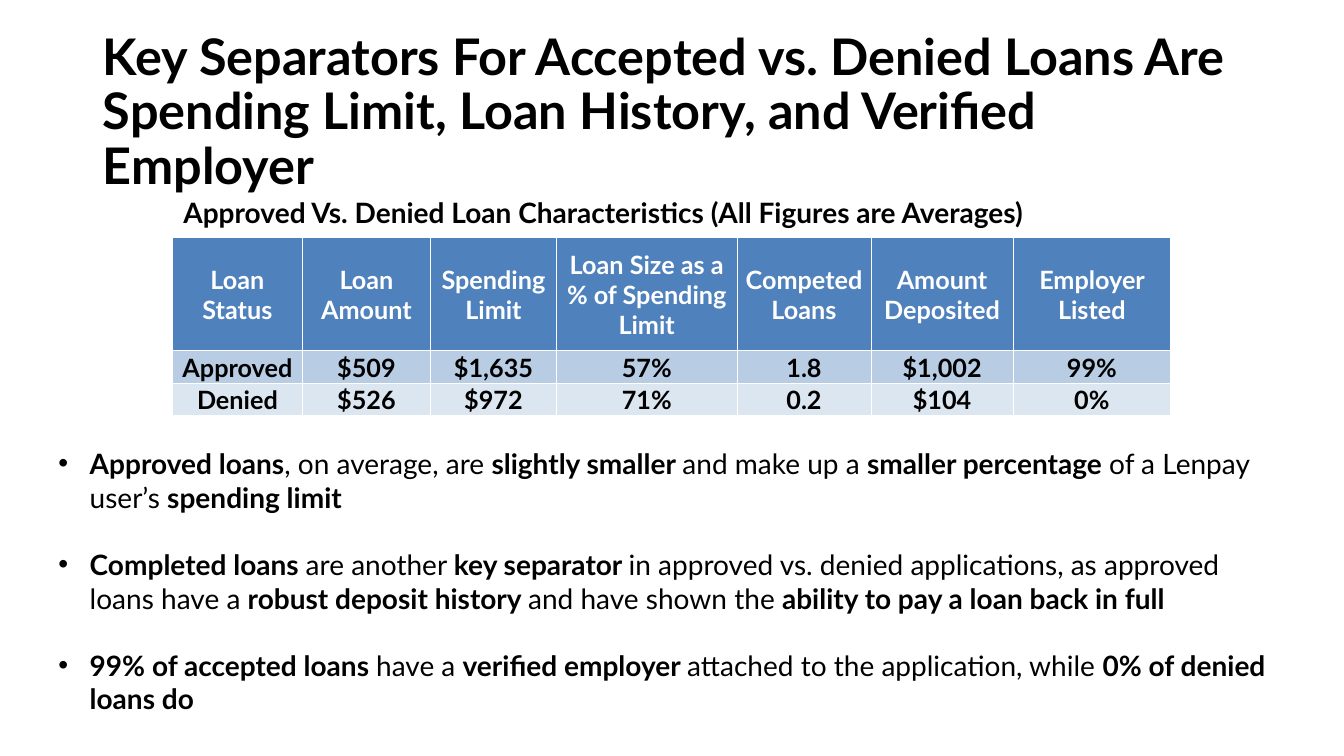
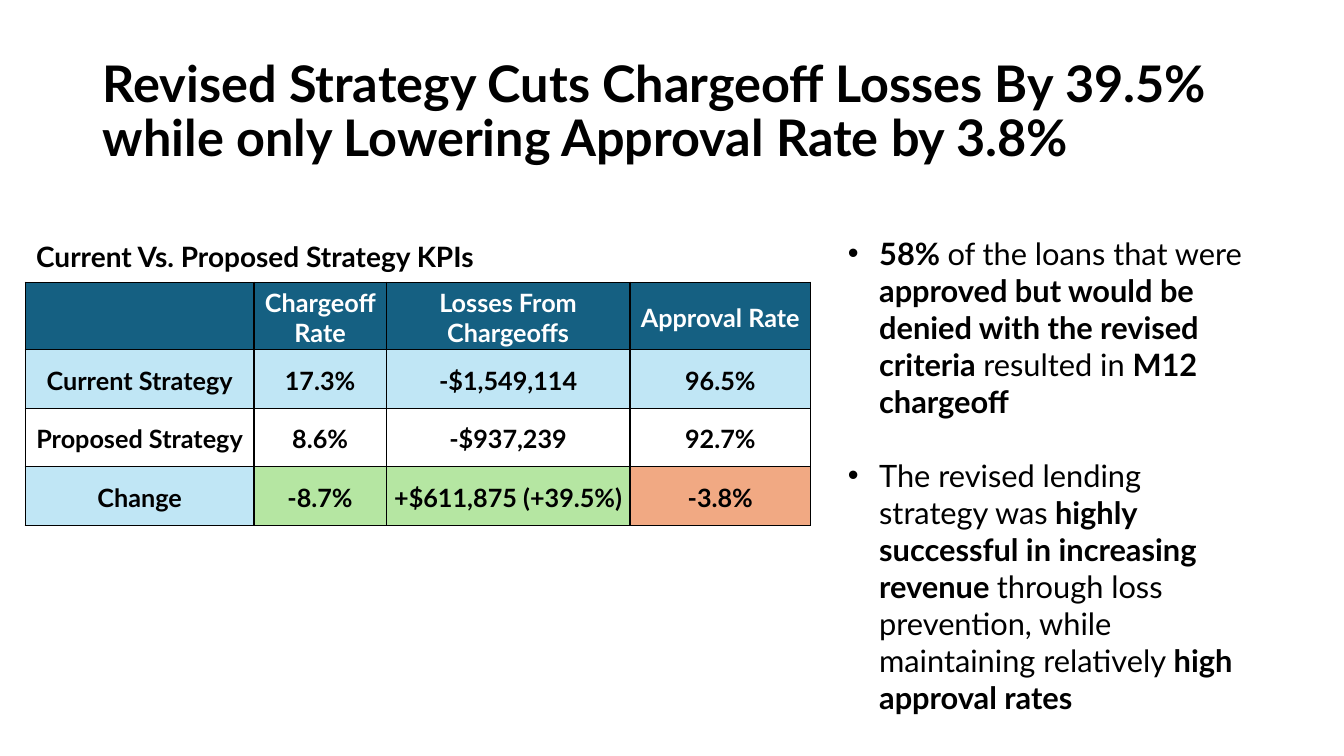
from dataclasses import dataclass

import lxml.etree
import pptx
import pptx.dml.color
import pptx.enum.shapes
import pptx.enum.text
import pptx.oxml.ns
import pptx.slide
import pptx.text.text
import pptx.util

Inches = pptx.util.Inches
Pt = pptx.util.Pt
ANCHOR = pptx.enum.text.MSO_ANCHOR
ALIGN = pptx.enum.text.PP_ALIGN


@dataclass(frozen=True)
class Theme:
    font: str = "Lato"
    ink: str = "000000"
    white: str = "FFFFFF"
    blue_head: str = "4F81BD"
    blue_mid: str = "B8CCE4"
    blue_pale: str = "DCE6F1"
    teal_head: str = "156082"
    sky: str = "C0E6F5"
    good: str = "B5E6A2"
    bad: str = "F1A983"
    title_size: float = 36
    caption_size: float = 20
    table_size: float = 18
    line_height: float = 1.2


THEME = Theme()


@dataclass(frozen=True)
class Box:
    left: float
    top: float
    width: float
    height: float

    def lengths(self) -> tuple:
        return tuple(Inches(v) for v in (self.left, self.top, self.width, self.height))


@dataclass(frozen=True)
class TableSpec:
    left: float
    top: float
    cols: tuple[float, ...]
    heights: tuple[float, ...]
    rows: tuple[tuple[str, ...], ...]
    fills: tuple[tuple[str, ...], ...]
    border: str
    border_width: float
    inset: float
    body_anchor: ANCHOR


@dataclass(frozen=True)
class SlideSpec:
    title: str
    caption: str
    caption_box: Box
    table: TableSpec
    bullets: tuple[str, ...]
    bullets_box: Box
    bullets_size: float


SLIDE_WIDTH, SLIDE_HEIGHT = 13.33, 7.5
BAND_BOX = Box(0, 0, SLIDE_WIDTH, 2.78)
TITLE_BOX = Box(0.92, 0.4, 11.5, 1.45)
BULLET_INDENT = 0.31

SLIDES = (
    SlideSpec(
        title="Key Separators For Accepted vs. Denied Loans Are Spending Limit, "
              "Loan History, and Verified Employer",
        caption="Approved Vs. Denied Loan Characteristics (All Figures are Averages)",
        caption_box=Box(1.72, 1.89, 9.05, 0.44),
        table=TableSpec(
            left=1.71, top=2.35,
            cols=(1.29, 1.27, 1.25, 1.79, 1.33, 1.41, 1.56),
            heights=(1.13, 0.31, 0.31),
            rows=(
                ("Loan Status", "Loan Amount", "Spending Limit",
                 "Loan Size as a % of Spending Limit", "Competed Loans",
                 "Amount Deposited", "Employer Listed"),
                ("Approved", "$509", "$1,635", "57%", "1.8", "$1,002", "99%"),
                ("Denied", "$526", "$972", "71%", "0.2", "$104", "0%"),
            ),
            fills=((THEME.blue_head,) * 7, (THEME.blue_mid,) * 7, (THEME.blue_pale,) * 7),
            border=THEME.white, border_width=0.5, inset=0.02,
            body_anchor=ANCHOR.BOTTOM,
        ),
        bullets=(
            "**Approved loans**, on average, are **slightly smaller **and make up a "
            "**smaller percentage** of a Lenpay user’s **spending limit**",
            "**Completed loans **are another **key separator **in approved vs. denied "
            "applications, as approved loans have a **robust deposit history **and have "
            "shown the **ability to pay a loan back in full**",
            "**99% of accepted loans **have a **verified employer **attached to the "
            "application, while **0% of denied loans do**",
        ),
        bullets_box=Box(0.48, 4.38, 12.38, 2.79),
        bullets_size=20,
    ),
    SlideSpec(
        title="Revised Strategy Cuts Chargeoff Losses By 39.5% while only Lowering "
              "Approval Rate by 3.8%",
        caption="Current Vs. Proposed Strategy KPIs",
        caption_box=Box(0.26, 2.33, 5.54, 0.44),
        table=TableSpec(
            left=0.25, top=2.8,
            cols=(2.27, 1.31, 2.42, 1.79),
            heights=(0.67, 0.58, 0.58, 0.58),
            rows=(
                ("", "Chargeoff Rate", "Losses From Chargeoffs", "Approval Rate"),
                ("Current Strategy", "17.3%", "-$1,549,114", "96.5%"),
                ("Proposed Strategy", "8.6%", "-$937,239", "92.7%"),
                ("Change", "-8.7%", "+$611,875 (+39.5%)", "-3.8%"),
            ),
            fills=((THEME.teal_head,) * 4, (THEME.sky,) * 4, (THEME.white,) * 4,
                   (THEME.sky, THEME.good, THEME.good, THEME.bad)),
            border=THEME.ink, border_width=1, inset=0.03,
            body_anchor=ANCHOR.MIDDLE,
        ),
        bullets=(
            "**58% **of the loans that were **approved but would be denied with the "
            "revised criteria **resulted in **M12 chargeoff**",
            "The revised lending strategy was** highly successful in increasing revenue "
            "**through loss prevention, while maintaining relatively** high approval rates**",
        ),
        bullets_box=Box(8.31, 2.28, 4.24, 5.15),
        bullets_size=22,
    ),
)


def rgb(value: str) -> pptx.dml.color.RGBColor:
    return pptx.dml.color.RGBColor.from_string(value)


def write(p: pptx.text.text._Paragraph, text: str, *, size: float,
          color: str = THEME.ink, align: ALIGN = ALIGN.LEFT,
          spacing: float = 1.0, before: float = 0) -> None:
    """Fill a paragraph; parts between double asterisks are bold."""
    p.alignment = align
    p.line_spacing = spacing
    p.space_before = Pt(before)
    p.space_after = Pt(0)
    for i, part in enumerate(text.split("**")):
        if part:
            r = p.add_run()
            r.text = part
            r.font.name = THEME.font
            r.font.size = Pt(size)
            r.font.bold = i % 2 == 1
            r.font.color.rgb = rgb(color)


def place(sp, box: Box, anchor: ANCHOR) -> pptx.text.text.TextFrame:
    """Move a text shape and return its frame, wrapped and without autofit."""
    sp.left, sp.top, sp.width, sp.height = box.lengths()
    tf = sp.text_frame
    tf.word_wrap = True
    tf.auto_size = pptx.enum.text.MSO_AUTO_SIZE.NONE
    tf.vertical_anchor = anchor
    return tf


def add_title_band(s: pptx.slide.Slide) -> None:
    """Draw the white header band behind the placeholders."""
    sp = s.shapes.add_shape(pptx.enum.shapes.MSO_SHAPE.RECTANGLE, *BAND_BOX.lengths())
    sp.shadow.inherit = False
    sp.fill.solid()
    sp.fill.fore_color.rgb = rgb(THEME.white)
    sp.line.fill.background()
    s.shapes[0].element.addprevious(sp.element)


def add_title(s: pptx.slide.Slide, text: str) -> None:
    tf = place(s.shapes.title, TITLE_BOX, ANCHOR.MIDDLE)
    write(tf.paragraphs[0], f"**{text}**", size=THEME.title_size, spacing=0.9)


def add_caption(s: pptx.slide.Slide, text: str, box: Box) -> None:
    tf = place(s.shapes.add_textbox(*box.lengths()), box, ANCHOR.TOP)
    write(tf.paragraphs[0], f"**{text}**", size=THEME.caption_size)


def add_bullets(s: pptx.slide.Slide, items: tuple[str, ...], box: Box, size: float) -> None:
    tf = place(s.placeholders[1], box, ANCHOR.TOP)
    for i, item in enumerate(items):
        p = tf.add_paragraph() if i else tf.paragraphs[0]
        write(p, item, size=size, before=size * THEME.line_height if i else 0)
        pPr = p._p.get_or_add_pPr()
        pPr.set("marL", str(Inches(BULLET_INDENT)))
        pPr.set("indent", str(-Inches(BULLET_INDENT)))


def set_borders(cell, color: str, width: float) -> None:
    """Line all four sides; call before the fill, which must follow in the XML."""
    qn = pptx.oxml.ns.qn
    tcPr = cell._tc.get_or_add_tcPr()
    for side in ("a:lnL", "a:lnR", "a:lnT", "a:lnB"):
        ln = lxml.etree.SubElement(tcPr, qn(side), w=str(Pt(width)))
        fill = lxml.etree.SubElement(ln, qn("a:solidFill"))
        lxml.etree.SubElement(fill, qn("a:srgbClr"), val=color)


def add_table(s: pptx.slide.Slide, spec: TableSpec) -> None:
    box = Box(spec.left, spec.top, sum(spec.cols), sum(spec.heights))
    table = s.shapes.add_table(len(spec.rows), len(spec.cols), *box.lengths()).table
    table.first_row = table.horz_banding = False
    for col, width in zip(table.columns, spec.cols):
        col.width = Inches(width)
    for row, height in zip(table.rows, spec.heights):
        row.height = Inches(height)
    for i, (texts, fills) in enumerate(zip(spec.rows, spec.fills)):
        for j, (text, fill) in enumerate(zip(texts, fills)):
            cell = table.cell(i, j)
            cell.margin_left = cell.margin_top = cell.margin_right = Inches(spec.inset)
            cell.margin_bottom = 0
            cell.vertical_anchor = spec.body_anchor if i else ANCHOR.MIDDLE
            set_borders(cell, spec.border, spec.border_width)
            cell.fill.solid()
            cell.fill.fore_color.rgb = rgb(fill)
            write(cell.text_frame.paragraphs[0], f"**{text}**", size=THEME.table_size,
                  color=THEME.ink if i else THEME.white, align=ALIGN.CENTER)


def main() -> None:
    prs = pptx.Presentation()
    prs.slide_width, prs.slide_height = Inches(SLIDE_WIDTH), Inches(SLIDE_HEIGHT)
    for spec in SLIDES:
        s = prs.slides.add_slide(prs.slide_layouts[1])
        add_title_band(s)
        add_title(s, spec.title)
        add_table(s, spec.table)
        add_caption(s, spec.caption, spec.caption_box)
        add_bullets(s, spec.bullets, spec.bullets_box, spec.bullets_size)
    prs.save("out.pptx")


if __name__ == "__main__":
    main()
